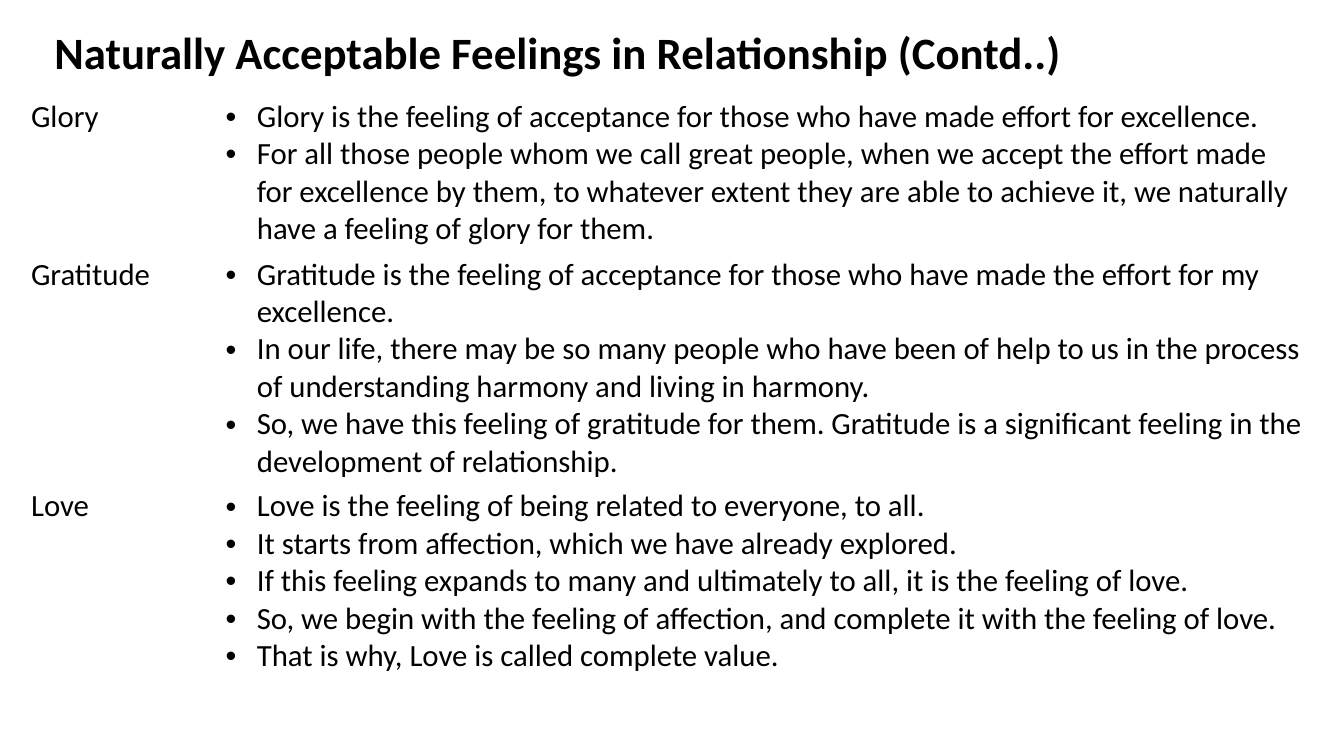
import pptx
import pptx.util
import pptx.dml.color
import pptx.enum.text
import pptx.oxml
import pptx.oxml.ns
from pptx.util import Cm

COLORS = {"text": "000000", "background": "FFFFFF"}
FEELINGS = {
    "Glory": [
        "Glory is the feeling of acceptance for those who have made effort for excellence.",
        "For all those people whom we call great people, when we accept the effort made "
        "for excellence by them, to whatever extent they are able to achieve it, we "
        "naturally have a feeling of glory for them.",
    ],
    "Gratitude": [
        "Gratitude is the feeling of acceptance for those who have made the effort for my "
        "excellence.",
        "In our life, there may be so many people who have been of help to us in the process "
        "of understanding harmony and living in harmony.",
        "So, we have this feeling of gratitude for them. Gratitude is a significant feeling "
        "in the development of relationship.",
    ],
    "Love": [
        "Love is the feeling of being related to everyone, to all.",
        "It starts from affection, which we have already explored.",
        "If this feeling expands to many and ultimately to all, it is the feeling of love.",
        "So, we begin with the feeling of affection, and complete it with the feeling of love.",
        "That is why, Love is called complete value.",
    ],
}
NO_STYLE = "{2D5ABB26-0587-4C30-8999-92F81FD0307C}"


def add_run(p, text, size, bold=False):
    r = p.add_run()
    r.text = text
    r.font.name = "Calibri"
    r.font.size = pptx.util.Pt(size)
    r.font.bold = bold
    r.font.color.rgb = pptx.dml.color.RGBColor.from_string(COLORS["text"])


def add_bullet(p):
    pPr = p._p.get_or_add_pPr()
    pPr.set("marL", str(Cm(0.79)))
    pPr.set("indent", str(-Cm(0.79)))
    for tag, key, value in (("buFont", "typeface", "Arial"), ("buChar", "char", "•")):
        bullet = pptx.oxml.ns.qn(f"a:{tag}")
        pPr.append(pPr.makeelement(bullet, {key: value}))


prs = pptx.Presentation()
prs.slide_width, prs.slide_height = Cm(33.87), Cm(19.05)
s = prs.slides.add_slide(prs.slide_layouts[6])
s.background.fill.solid()
s.background.fill.fore_color.rgb = pptx.dml.color.RGBColor.from_string(COLORS["background"])

# Title
tf = s.shapes.add_textbox(Cm(1.12), Cm(0.61), Cm(31.17), Cm(1.57)).text_frame
tf.word_wrap = True
tf.vertical_anchor = pptx.enum.text.MSO_ANCHOR.MIDDLE
p = tf.paragraphs[0]
p.alignment = pptx.enum.text.PP_ALIGN.JUSTIFY
p.line_spacing = 0.9
add_run(p, "Naturally Acceptable Feelings in Relationship (Contd..)", 32, bold=True)

# Table of feelings
frame = s.shapes.add_table(len(FEELINGS), 2, Cm(0.53), Cm(2.34), Cm(32.66), Cm(15.6))
table = frame.table
table.first_row = table.horz_banding = False
table._tbl.tblPr.find(pptx.oxml.ns.qn("a:tableStyleId")).text = NO_STYLE
for column, width in zip(table.columns, (4.9, 27.76)):
    column.width = Cm(width)
for row, height in zip(table.rows, (3.96, 5.82, 5.82)):
    row.height = Cm(height)

for row, (feeling, points) in zip(table.rows, FEELINGS.items()):
    name, meaning = row.cells
    name.fill.background()
    meaning.fill.background()
    add_run(name.text_frame.paragraphs[0], feeling, 22)
    tf = meaning.text_frame
    for i, point in enumerate(points):
        p = tf.add_paragraph() if i else tf.paragraphs[0]
        add_bullet(p)
        add_run(p, point, 22)

prs.save("out.pptx")
